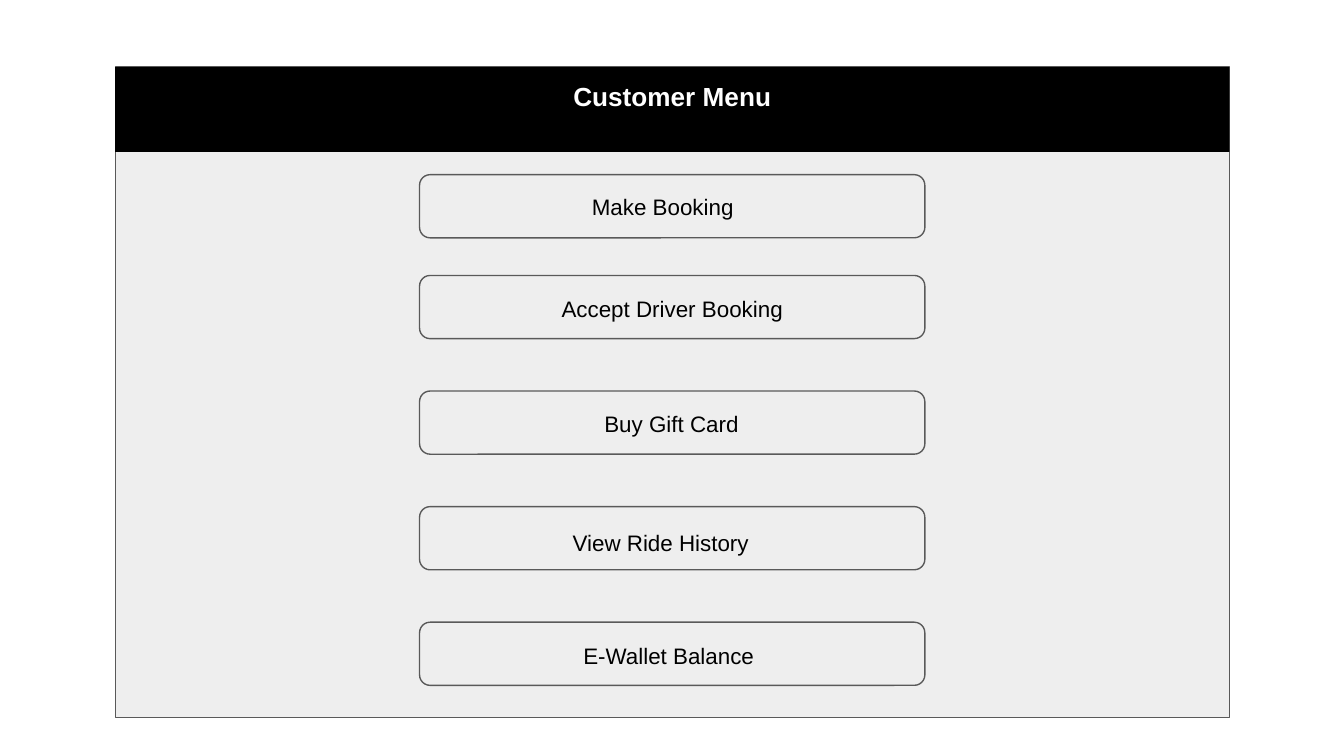
from dataclasses import dataclass
from pptx import Presentation
from pptx.dml.color import RGBColor as RGB
from pptx.enum.shapes import MSO_SHAPE as Shape
from pptx.enum.text import MSO_ANCHOR as Anchor, PP_ALIGN as Align
from pptx.util import Pt


@dataclass(frozen=True)
class Theme:
    font: str = "Arial"
    head: int = 14
    body: int = 12
    panel: RGB = RGB(0xEE, 0xEE, 0xEE)
    edge: RGB = RGB(0x59, 0x59, 0x59)
    dark: RGB = RGB(0, 0, 0)
    light: RGB = RGB(255, 255, 255)


@dataclass(frozen=True)
class Box:
    x: float
    y: float
    w: float
    h: float

    def sub(self, x, y, w, h):
        return Box(self.x + x, self.y + y, w, h)

    def pts(self):
        return [Pt(round(v, 2)) for v in (self.x, self.y, self.w, self.h)]


THEME = Theme()
INSET = 7.2
BTN_W, BTN_H = 270.72, 33.84
FIRST, STEP = 111.6, 61.92  # top of the second button, pitch below it

# Label, its box within the button, alignment, anchor
ITEMS = [
    ("Make Booking", (36.7, 7.9, 187.2, 18.7), Align.CENTER, Anchor.MIDDLE),
    ("Accept Driver Booking", (41.8, 3.6, 187.2, 19.4), Align.CENTER, Anchor.TOP),
    ("Buy Gift Card", (53.3, 7.9, 163.4, 19.4), Align.CENTER, Anchor.MIDDLE),
    ("View Ride History", (74.9, 9.4, 109.4, 19.4), Align.LEFT, Anchor.MIDDLE),
    ("E-Wallet Balance", (80.6, 3.6, 109.4, 19.4), Align.LEFT, Anchor.TOP),
]


def write(shape, text, size, color, align, anchor, bold=False):
    frame = shape.text_frame
    frame.word_wrap = True
    frame.vertical_anchor = anchor
    frame.margin_left = frame.margin_right = Pt(INSET)
    frame.margin_top = frame.margin_bottom = Pt(INSET)
    para = frame.paragraphs[0]
    para.alignment = align
    run = para.add_run()
    run.text = text
    font = run.font
    font.name, font.size, font.bold = THEME.font, Pt(size), bold
    font.color.rgb = color


def add_box(slide, kind, box):
    shape = slide.shapes.add_shape(kind, *box.pts())
    shape.shadow.inherit = False
    shape.fill.solid()
    shape.fill.fore_color.rgb = THEME.panel
    shape.line.color.rgb = THEME.edge
    shape.line.width = Pt(0.75)
    return shape


def add_head(slide, box, text):
    title = slide.shapes.title
    title.left, title.top, title.width, title.height = box.pts()
    title.fill.solid()
    title.fill.fore_color.rgb = THEME.dark
    write(title, text, THEME.head, THEME.light, Align.CENTER, Anchor.TOP, True)
    return title


def add_menu(slide, box):
    # Panel goes behind the title bar
    panel = add_box(slide, Shape.RECTANGLE, box)
    title = add_head(slide, box.sub(0, 0, box.w, 45.4), "Customer Menu")
    title._element.addprevious(panel._element)

    # Buttons: the first sits closer to the second than the rest
    tops = [57.6] + [FIRST + i * STEP for i in range(len(ITEMS) - 1)]
    spots = [box.sub((box.w - BTN_W) / 2, top, BTN_W, BTN_H) for top in tops]
    for spot in spots:
        add_box(slide, Shape.ROUNDED_RECTANGLE, spot).adjustments[0] = 0.167

    # Labels
    for spot, (text, area, align, anchor) in zip(spots, ITEMS):
        label = slide.shapes.add_textbox(*spot.sub(*area).pts())
        write(label, text, THEME.body, THEME.dark, align, anchor)


def main():
    deck = Presentation()
    deck.slide_width, deck.slide_height = Pt(720), Pt(405)
    slide = deck.slides.add_slide(deck.slide_layouts[5])
    add_menu(slide, Box(61.7, 36, 596.9, 348.5))
    deck.save("out.pptx")


if __name__ == "__main__":
    main()
